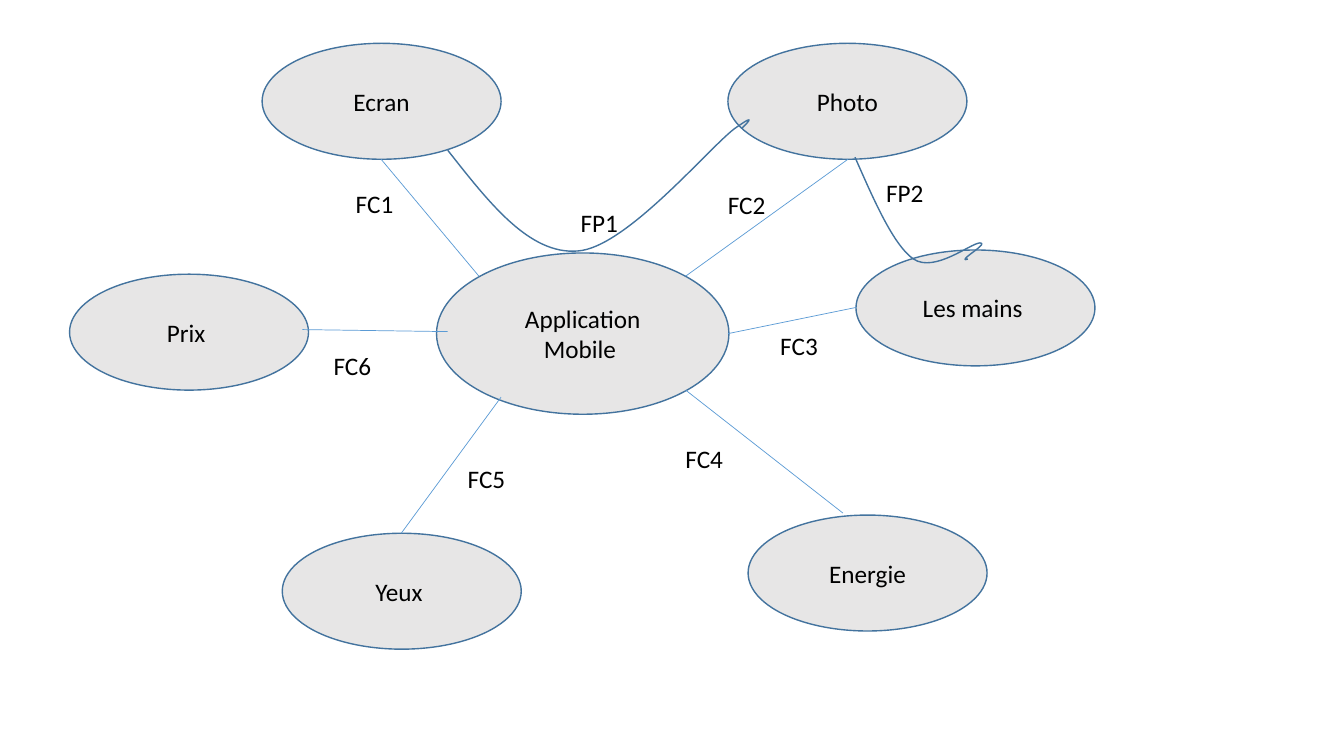
from typing import NamedTuple

from lxml import etree
from pptx import Presentation
from pptx.dml.color import RGBColor
from pptx.enum.shapes import MSO_CONNECTOR, MSO_SHAPE
from pptx.enum.text import MSO_ANCHOR, MSO_AUTO_SIZE, PP_ALIGN
from pptx.oxml.ns import qn
from pptx.util import Inches, Pt

ELLIPSE = MSO_SHAPE.OVAL
STRAIGHT = MSO_CONNECTOR.STRAIGHT
LEFT, CENTER = PP_ALIGN.LEFT, PP_ALIGN.CENTER
TOP, MIDDLE = MSO_ANCHOR.TOP, MSO_ANCHOR.MIDDLE
FIT_SHAPE, NO_FIT = MSO_AUTO_SIZE.SHAPE_TO_FIT_TEXT, MSO_AUTO_SIZE.NONE

COLORS = {"fill": "E7E6E6", "outline": "43739E", "link": "5B9BD5", "text": "000000"}
FONT = "Calibri"

Point = tuple[float, float]


class Bubble(NamedTuple):
    text: str
    left: float
    top: float
    width: float = 2.37
    height: float = 1.15


class Label(NamedTuple):
    text: str
    left: float
    top: float


class Link(NamedTuple):
    start: Point
    end: Point


class Curve(NamedTuple):
    top_left: Point
    bottom_right: Point
    start: Point
    segments: list[tuple[Point, Point, Point]]


BUBBLES = [
    Bubble("Application Mobile ", 4.33, 2.51, 2.9, 1.6),
    Bubble("Photo", 7.22, 0.43),
    Bubble("Energie", 7.42, 5.11),
    Bubble("Yeux ", 2.8, 5.29),
    Bubble("Prix ", 0.69, 2.72),
    Bubble("Ecran", 2.6, 0.43),
    Bubble("Les mains ", 8.49, 2.48),
]
CURVES = [
    Curve((4.44, 1.19), (7.43, 2.5), (4.44, 1.49), [
        ((4.85, 2.01), (5.25, 2.53), (5.73, 2.49)),
        ((6.2, 2.46), (7.01, 1.49), (7.28, 1.28)),
        ((7.56, 1.08), (7.36, 1.27), (7.36, 1.27)),
    ]),
    Curve((8.48, 1.56), (9.73, 2.61), (8.48, 1.56), [
        ((8.67, 1.99), (8.86, 2.43), (9.06, 2.57)),
        ((9.27, 2.71), (9.63, 2.41), (9.72, 2.41)),
        ((9.8, 2.41), (9.6, 2.53), (9.58, 2.56)),
        ((9.56, 2.58), (9.58, 2.58), (9.6, 2.57)),
    ]),
]
LINKS = [
    Link((3, 3.27), (4.44, 3.29)),
    Link((3.78, 1.58), (4.75, 2.74)),
    Link((3.98, 5.29), (4.97, 3.94)),
    Link((6.8, 3.87), (8.36, 5.09)),
    Link((7.22, 3.31), (8.49, 3.05)),
    Link((6.8, 2.74), (8.41, 1.58)),
]
LABELS = [
    Label("FC6", 3.21, 3.43),
    Label("FP2", 8.69, 1.71),
    Label("FC1", 3.43, 1.82),
    Label("FP1", 5.66, 2.01),
    Label("FC5", 4.54, 4.55),
    Label("FC4", 6.7, 4.35),
    Label("FC3", 7.64, 3.23),
    Label("FC2", 7.12, 1.83),
]


def set_text(shape, text: str, *, align=LEFT, anchor=TOP, auto_size=NO_FIT,
             size: float = 18, color: str = "text") -> None:
    frame = shape.text_frame
    frame.word_wrap = True
    frame.auto_size = auto_size
    frame.vertical_anchor = anchor
    paragraph = frame.paragraphs[0]
    paragraph.alignment = align
    run = paragraph.add_run()
    run.text = text
    run.font.name = FONT
    run.font.size = Pt(size)
    run.font.color.rgb = RGBColor.from_string(COLORS[color])


def set_line(shape, color: str, width: float) -> None:
    shape.line.color.rgb = RGBColor.from_string(COLORS[color])
    shape.line.width = Pt(width)


def add_bubble(slide, bubble: Bubble) -> None:
    shape = slide.shapes.add_shape(
        ELLIPSE, Inches(bubble.left), Inches(bubble.top),
        Inches(bubble.width), Inches(bubble.height))
    shape.shadow.inherit = False
    shape.fill.solid()
    shape.fill.fore_color.rgb = RGBColor.from_string(COLORS["fill"])
    set_line(shape, "outline", 1)
    set_text(shape, bubble.text, align=CENTER, anchor=MIDDLE)


def add_curve(slide, curve: Curve) -> None:
    left, top = curve.top_left
    builder = slide.shapes.build_freeform(Inches(left), Inches(top))
    builder.add_line_segments(
        [tuple(Inches(value) for value in curve.bottom_right)], close=False)
    shape = builder.convert_to_shape()
    shape.shadow.inherit = False
    shape.fill.background()
    set_line(shape, "outline", 1)

    # Bezier segments take the place of the frame's diagonal
    outline = next(shape._element.iter(qn("a:path")))
    for child in list(outline):
        outline.remove(child)
    steps = [("a:moveTo", (curve.start,))]
    steps += [("a:cubicBezTo", segment) for segment in curve.segments]
    for tag, points in steps:
        step = etree.SubElement(outline, qn(tag))
        for x, y in points:
            etree.SubElement(step, qn("a:pt"),
                             x=str(Inches(x - left)), y=str(Inches(y - top)))


def add_link(slide, link: Link) -> None:
    connector = slide.shapes.add_connector(
        STRAIGHT, *(Inches(value) for value in link.start + link.end))
    set_line(connector, "link", 0.5)
    etree.SubElement(connector._element.spPr, qn("a:effectLst"))


def add_label(slide, label: Label) -> None:
    box = slide.shapes.add_textbox(
        Inches(label.left), Inches(label.top), Inches(0.69), Inches(0.4))
    set_text(box, label.text, auto_size=FIT_SHAPE)


presentation = Presentation()
presentation.slide_width = Inches(13.33)
presentation.slide_height = Inches(7.5)
slide = presentation.slides.add_slide(presentation.slide_layouts[6])

# Application and its surroundings
for bubble in BUBBLES:
    add_bubble(slide, bubble)

# Main functions
for curve in CURVES:
    add_curve(slide, curve)

# Constraint functions
for link in LINKS:
    add_link(slide, link)

# Function names
for label in LABELS:
    add_label(slide, label)

presentation.save("out.pptx")
